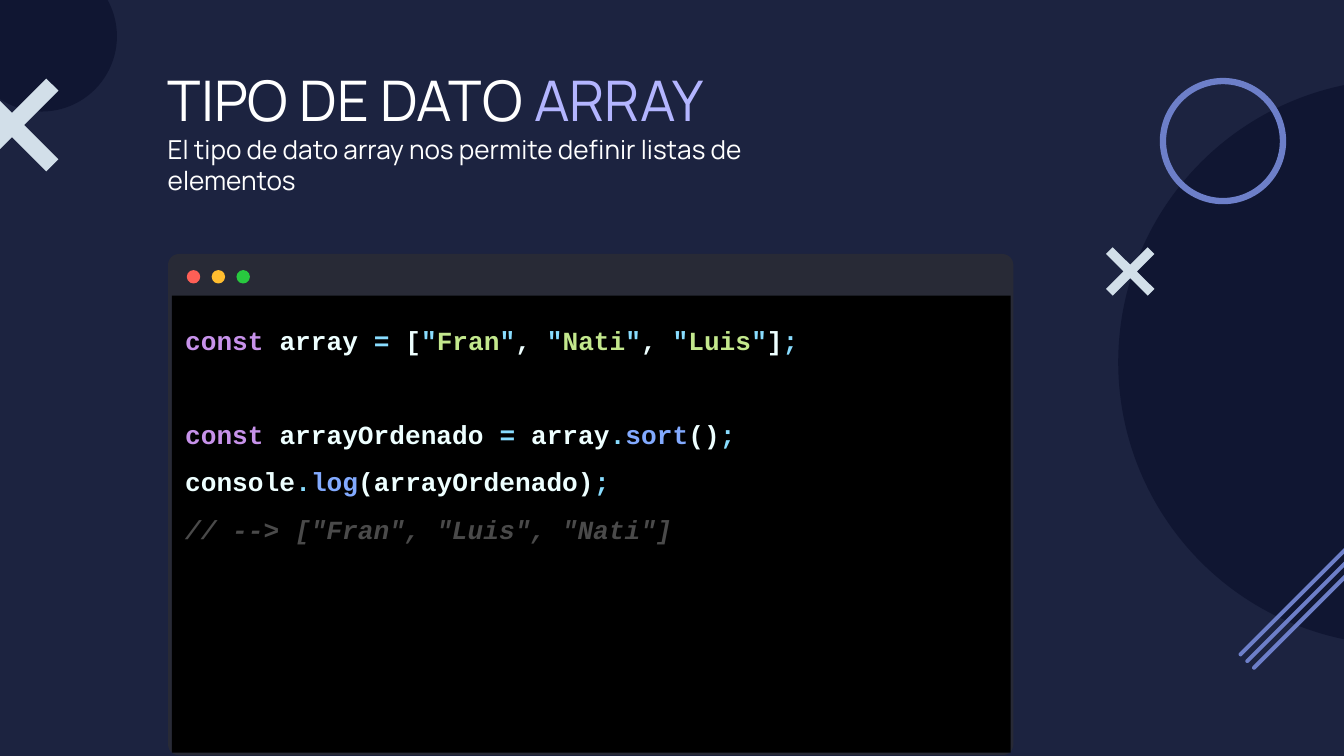
from pptx import Presentation
from pptx.dml.color import RGBColor
from pptx.enum.shapes import MSO_SHAPE
from pptx.enum.text import MSO_ANCHOR, PP_ALIGN
from pptx.util import Inches, Pt

COLORS = {
    "background": "1C2340", "disc": "101632", "cross": "D2DFE9", "accent": "6D7FC9",
    "frame": "282A36", "screen": "000000",
    "red": "FF5F56", "yellow": "FFBD2F", "green": "28C93F",
    "white": "FFFFFF", "lilac": "B3B5FF",
    "keyword": "C792EA", "plain": "EEFFFF", "symbol": "89DDFF",
    "string": "C3E88D", "method": "82AAFF", "comment": "4A4A4A",
}
TITLE_FORMAT = {"name": "Manrope", "size": Pt(30)}
SUBTITLE_FORMAT = {"name": "Manrope", "size": Pt(14)}
CODE_FORMAT = {"name": "Courier New", "size": Pt(14), "bold": True}
COMMENT_FORMAT = {**CODE_FORMAT, "italic": True}
FRAME_FORMAT = {
    "word_wrap": True, "vertical_anchor": MSO_ANCHOR.TOP,
    "margin_left": Inches(0.1), "margin_right": Inches(0.1),
    "margin_top": Inches(0.1), "margin_bottom": Inches(0.1),
}
CODE_PARA = {"alignment": PP_ALIGN.LEFT, "line_spacing": 1.5}
CODE_GAP = {**CODE_PARA, "space_before": Pt(25.2)}


def color(name):
    return RGBColor.from_string(COLORS[name])


def apply_format(target, values):
    for name, value in values.items():
        setattr(target, name, value)


def paint(shape, fill):
    shape.shadow.inherit = False
    shape.fill.solid()
    shape.fill.fore_color.rgb = color(fill)
    shape.line.fill.background()


def add_preset(shapes, kind, left, top, width, height, fill, adjustment=None):
    shape = shapes.add_shape(kind, Inches(left), Inches(top), Inches(width), Inches(height))
    if adjustment is not None:
        shape.adjustments[0] = adjustment
    paint(shape, fill)
    return shape


def add_cross(shapes, center_x, center_y, size, notch):
    half = size / 2
    inner = half - notch
    quarter = [(0, -notch), (inner, -half), (half, -inner)]
    points = []
    for _ in range(4):
        points += quarter
        quarter = [(-y, x) for x, y in quarter]
    corners = [(Inches(center_x + x), Inches(center_y + y)) for x, y in points]
    builder = shapes.build_freeform(*corners[0])
    builder.add_line_segments(corners[1:], close=True)
    paint(builder.convert_to_shape(), "cross")


def add_stripes(shapes):
    length, thickness = 1.3, 0.03
    for index in range(3):
        center_x, center_y = 9.68 + 0.05 * index, 4.42 + 0.05 * index
        stripe = add_preset(shapes, MSO_SHAPE.ROUNDED_RECTANGLE, center_x - length / 2,
                            center_y - thickness / 2, length, thickness, "accent", 0.5)
        stripe.rotation = -45


def add_para(frame, spans, font_format, para_format, first=False):
    para = frame.paragraphs[0] if first else frame.add_paragraph()
    apply_format(para, para_format)
    for fill, text in spans:
        span = para.add_run()
        span.text = text
        apply_format(span.font, font_format)
        span.font.color.rgb = color(fill)


def quoted_list(names):
    spans = []
    for index, name in enumerate(names):
        if index:
            spans.append(("plain", ", "))
        spans += [("symbol", '"'), ("string", name), ("symbol", '"')]
    return spans


def add_window(shapes):
    window = shapes.add_group_shape().shapes
    add_preset(window, MSO_SHAPE.ROUNDED_RECTANGLE, 1.25, 1.89, 6.29, 3.73, "frame", 0.022)
    for index, fill in enumerate(("red", "yellow", "green")):
        add_preset(window, MSO_SHAPE.OVAL, 1.39 + 0.185 * index, 2.01, 0.1, 0.1, fill)


def add_code(shapes):
    screen = add_preset(shapes, MSO_SHAPE.RECTANGLE, 1.28, 2.2, 6.24, 3.4, "screen")
    frame = screen.text_frame
    apply_format(frame, FRAME_FORMAT)
    end = ("symbol", ";")
    declaration = [("keyword", "const"), ("plain", " array "), ("symbol", "="), ("plain", " ["),
                   *quoted_list(["Fran", "Nati", "Luis"]), ("plain", "]"), end]
    sorting = [("keyword", "const"), ("plain", " arrayOrdenado "), ("symbol", "="),
               ("plain", " array"), ("symbol", "."), ("method", "sort"), ("plain", "()"), end]
    logging = [("plain", "console"), ("symbol", "."), ("method", "log"),
               ("plain", "(arrayOrdenado)"), end]
    result = [("comment", '// --> ["Fran", "Luis", "Nati"]')]
    add_para(frame, declaration, CODE_FORMAT, CODE_PARA, first=True)
    add_para(frame, sorting, CODE_FORMAT, CODE_GAP)
    add_para(frame, logging, CODE_FORMAT, CODE_PARA)
    add_para(frame, result, COMMENT_FORMAT, CODE_PARA)


def add_heading(shapes):
    box = shapes.add_textbox(Inches(1.15), Inches(0.39), Inches(4.86), Inches(0.86))
    frame = box.text_frame
    apply_format(frame, FRAME_FORMAT)
    title = [("white", "TIPO DE DATO "), ("lilac", "ARRAY")]
    subtitle = [("white", "El tipo de dato array nos permite definir listas de elementos")]
    add_para(frame, title, TITLE_FORMAT, {}, first=True)
    add_para(frame, subtitle, SUBTITLE_FORMAT, {})


def add_decoration(shapes):
    add_preset(shapes, MSO_SHAPE.OVAL, -0.25, -0.29, 1.12, 1.12, "disc")
    add_preset(shapes, MSO_SHAPE.OVAL, 8.32, 0.59, 4.21, 4.21, "disc")
    add_cross(shapes, 8.41, 2.02, 0.36, 0.05)
    add_preset(shapes, MSO_SHAPE.DONUT, 8.63, 0.58, 0.94, 0.94, "accent", 0.05)
    add_stripes(shapes)
    add_cross(shapes, 0.09, 0.93, 0.69, 0.09)


def main():
    deck = Presentation()
    deck.slide_width = Inches(10)
    deck.slide_height = deck.slide_width * 9 // 16
    page = deck.slides.add_slide(deck.slide_layouts[6])
    page.background.fill.solid()
    page.background.fill.fore_color.rgb = color("background")
    add_window(page.shapes)
    add_code(page.shapes)
    add_heading(page.shapes)
    add_decoration(page.shapes)
    deck.save("out.pptx")


if __name__ == "__main__":
    main()
